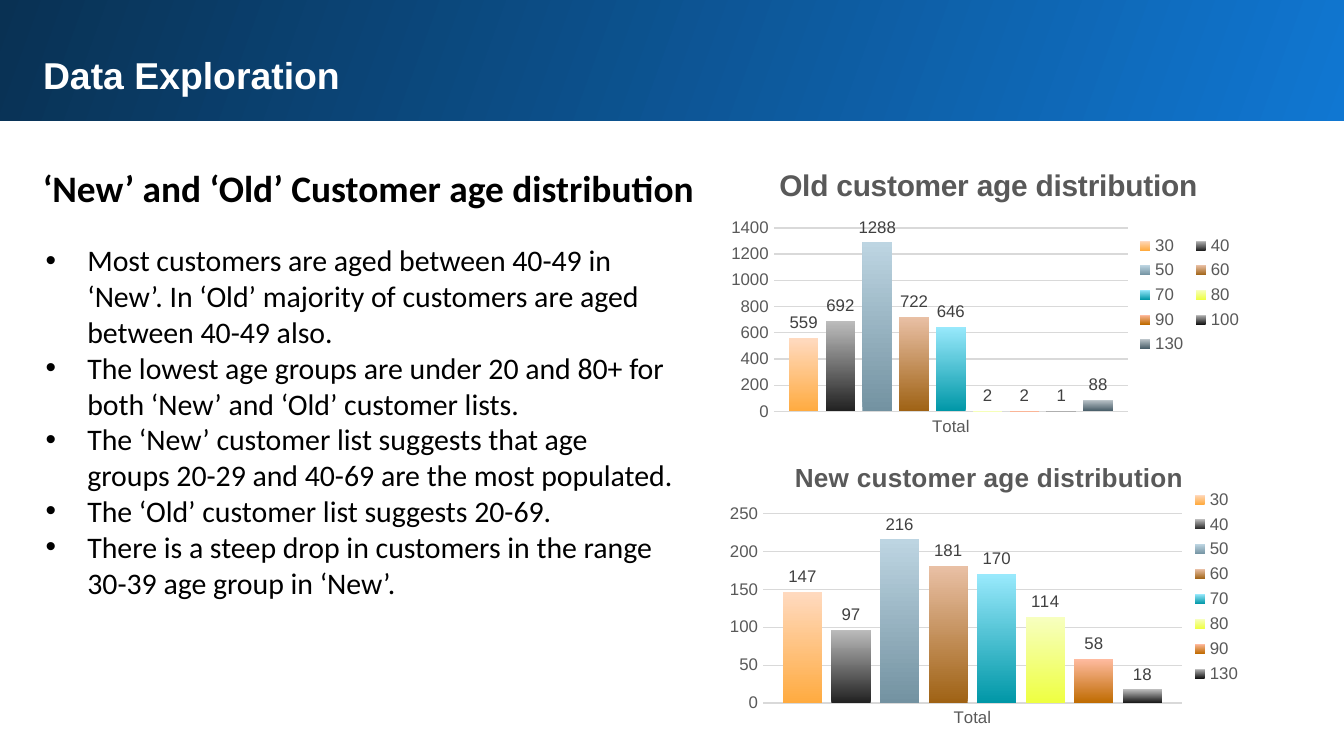
import pptx
import pptx.chart.data
import pptx.dml.color
import pptx.enum.chart
import pptx.enum.shapes
import pptx.enum.text
import pptx.oxml
import pptx.oxml.ns
import pptx.util
from pptx.util import Inches

TITLE = "Data Exploration"
HEADING = "‘New’ and ‘Old’ Customer age distribution"
FINDINGS = [
    "Most customers are aged between 40-49 in ‘New’. In ‘Old’ majority of "
    "customers are aged between 40-49 also.",
    "The lowest age groups are under 20 and 80+ for both ‘New’ and ‘Old’ customer lists.",
    "The ‘New’ customer list suggests that age groups 20-29 and 40-69 are the most populated.",
    "The ‘Old’ customer list suggests 20-69.",
    "There is a steep drop in customers in the range 30-39 age group in ‘New’.",
]

# Bar gradients, bottom colour then top colour, in series order
GRADIENTS = [
    ("FFAB40", "FFDAC0"), ("212121", "BDBDBD"), ("7392A1", "BDD5E2"),
    ("9F6214", "E9C0A5"), ("0097A7", "99E9FC"), ("EEFF41", "F7FFC0"),
    ("BF6B00", "FFBBA0"), ("141414", "BDBDBD"), ("425863", "BCC5CA"),
]

# Layouts are fractions of the chart: left, top and, where set, width, height
CHARTS = [
    {"title": "New customer age distribution", "size": 14, "top": 3.28,
     "ages": {"30": 147, "40": 97, "50": 216, "60": 181, "70": 170,
              "80": 114, "90": 58, "130": 18},
     "maximum": 250, "step": 50, "title_at": (0.13, 0.05),
     "plot_at": (0.08, 0.25, 0.78, 0.65), "legend_at": (0.87, 0.15, 0.11, 0.7)},
    {"title": "Old customer age distribution", "size": 16, "top": 1.11,
     "ages": {"30": 559, "40": 692, "50": 1288, "60": 722, "70": 646,
              "80": 2, "90": 2, "100": 1, "130": 88},
     "maximum": 1400, "step": 200, "title_at": (0.1, 0.04),
     "plot_at": (0.1, 0.27, 0.66, 0.63), "legend_at": (0.77, 0.28, 0.21, 0.44)},
]


def rgb(color):
    """Turn a hex string into a colour."""
    return pptx.dml.color.RGBColor.from_string(color)


def set_font(font, size, color, name="Arial", bold=False):
    """Set the face, size, colour and weight of a font."""
    font.name, font.size, font.bold = name, pptx.util.Pt(size), bold
    font.color.rgb = rgb(color)


def set_gradient(fill, colors, angle):
    """Give a fill two colours, the angle counted counter-clockwise."""
    fill.gradient()
    fill.gradient_angle = angle
    for stop, color in zip(fill.gradient_stops, colors):
        stop.color.rgb = rgb(color)


def place(shape, left, top, width, height):
    """Move and size a shape, in inches."""
    shape.left, shape.top = Inches(left), Inches(top)
    shape.width, shape.height = Inches(width), Inches(height)


def write(shape, lines, inset, size, color, name, bold=False):
    """Write one paragraph per line and return the paragraphs."""
    frame = shape.text_frame
    frame.word_wrap = True
    frame.auto_size = pptx.enum.text.MSO_AUTO_SIZE.NONE
    frame.vertical_anchor = pptx.enum.text.MSO_ANCHOR.TOP
    frame.margin_left = frame.margin_right = Inches(inset)
    frame.margin_top = frame.margin_bottom = Inches(inset)
    for number, line in enumerate(lines):
        para = frame.add_paragraph() if number else frame.paragraphs[0]
        para.alignment = pptx.enum.text.PP_ALIGN.LEFT
        para.space_before = pptx.util.Pt(0)
        span = para.add_run()
        span.text = line
        set_font(span.font, size, color, name, bold)
    return frame.paragraphs


def add_bullet(para):
    """Give a paragraph a round bullet with a hanging indent."""
    props = para._p.get_or_add_pPr()
    props.set("marL", str(Inches(0.31)))
    props.set("indent", str(Inches(-0.31)))
    bullet = pptx.oxml.parse_xml(
        f'<a:buChar {pptx.oxml.ns.nsdecls("a")} char="•"/>')
    props.append(bullet)


def set_layout(element, after, values, inner=False):
    """Fix the place of a chart part, after the named child or first."""
    for old in element.findall(pptx.oxml.ns.qn("c:layout")):
        element.remove(old)
    names = ("x", "y", "w", "h")[:len(values)]
    target = '<c:layoutTarget val="inner"/>' if inner else ""
    modes = "".join(f'<c:{name}Mode val="edge"/>' for name in names[:2])
    sizes = "".join(f'<c:{name} val="{value}"/>' for name, value in zip(names, values))
    layout = pptx.oxml.parse_xml(
        f'<c:layout {pptx.oxml.ns.nsdecls("c")}><c:manualLayout>'
        f'{target}{modes}{sizes}</c:manualLayout></c:layout>')
    if after:
        element.find(pptx.oxml.ns.qn(after)).addnext(layout)
    else:
        element.insert(0, layout)


def style_axes(chart, maximum, step):
    """Format both axes and the gridlines."""
    enums = pptx.enum.chart
    for axis in (chart.category_axis, chart.value_axis):
        axis.major_tick_mark = axis.minor_tick_mark = enums.XL_TICK_MARK.NONE
        set_font(axis.tick_labels.font, 9, "595959")
    values = chart.value_axis
    values.minimum_scale, values.maximum_scale, values.major_unit = 0, maximum, step
    values.format.line.fill.background()
    grid = values.major_gridlines.format.line
    for line, width in ((chart.category_axis.format.line, 1), (grid, 0.75)):
        line.color.rgb = rgb("D9D9D9")
        line.width = pptx.util.Pt(width)


def add_age_chart(slide, facts):
    """Add a column chart with one series per age group."""
    enums = pptx.enum.chart
    data = pptx.chart.data.CategoryChartData()
    data.categories = ["Total"]
    for age, count in facts["ages"].items():
        data.add_series(age, [count])
    chart = slide.shapes.add_chart(
        enums.XL_CHART_TYPE.COLUMN_CLUSTERED, Inches(5.36), Inches(facts["top"]),
        Inches(3.99), Inches(2.17), data).chart
    set_font(chart.font, 10, "000000")

    title = chart.chart_title
    span = title.text_frame.paragraphs[0].add_run()
    span.text = facts["title"]
    set_font(span.font, facts["size"], "595959", bold=True)
    set_layout(title._element, "c:tx", facts["title_at"])

    chart.has_legend = True
    chart.legend.position = enums.XL_LEGEND_POSITION.RIGHT
    chart.legend.include_in_layout = False
    set_font(chart.legend.font, 9, "595959")
    set_layout(chart.legend._element, "c:legendPos", facts["legend_at"])

    style_axes(chart, facts["maximum"], facts["step"])
    plot = chart.plots[0]
    plot.gap_width, plot.overlap, plot.vary_by_categories = 100, -24, False
    for series, colors in zip(plot.series, GRADIENTS):
        set_gradient(series.format.fill, colors, 90)
        labels = series.data_labels
        labels.show_value = True
        labels.position = enums.XL_LABEL_POSITION.OUTSIDE_END
        set_font(labels.font, 9, "404040")
    set_layout(chart._chartSpace.chart.plotArea, None, facts["plot_at"], inner=True)


deck = pptx.Presentation()
deck.slide_width, deck.slide_height = Inches(10), Inches(10 * 9 / 16)
slide = deck.slides.add_slide(deck.slide_layouts[1])
title, body = slide.placeholders

banner = slide.shapes.add_shape(pptx.enum.shapes.MSO_SHAPE.RECTANGLE, 0, 0, 0, 0)
place(banner, -0.02, -0.02, 10.05, 0.92)
banner.shadow.inherit = False
banner.line.fill.background()
set_gradient(banner.fill, ("1077D2", "093153"), 160)
title._element.addprevious(banner._element)

place(title, 0.22, 0.29, 9.37, 0.51)
write(title, [TITLE], 0.1, 20, "FFFFFF", "Arial", True)

heading = slide.shapes.add_textbox(0, 0, 0, 0)
place(heading, 0.22, 1.08, 9.37, 0.57)
write(heading, [HEADING], 0.1, 20, "000000", "Calibri", True)[0].line_spacing = 1.15
body._element.addprevious(heading._element)

place(body, 0.29, 1.75, 4.78, 3.06)
for para in write(body, FINDINGS, 0.05, 16, "000000", "Calibri"):
    add_bullet(para)

for facts in CHARTS:
    add_age_chart(slide, facts)

deck.save("out.pptx")
